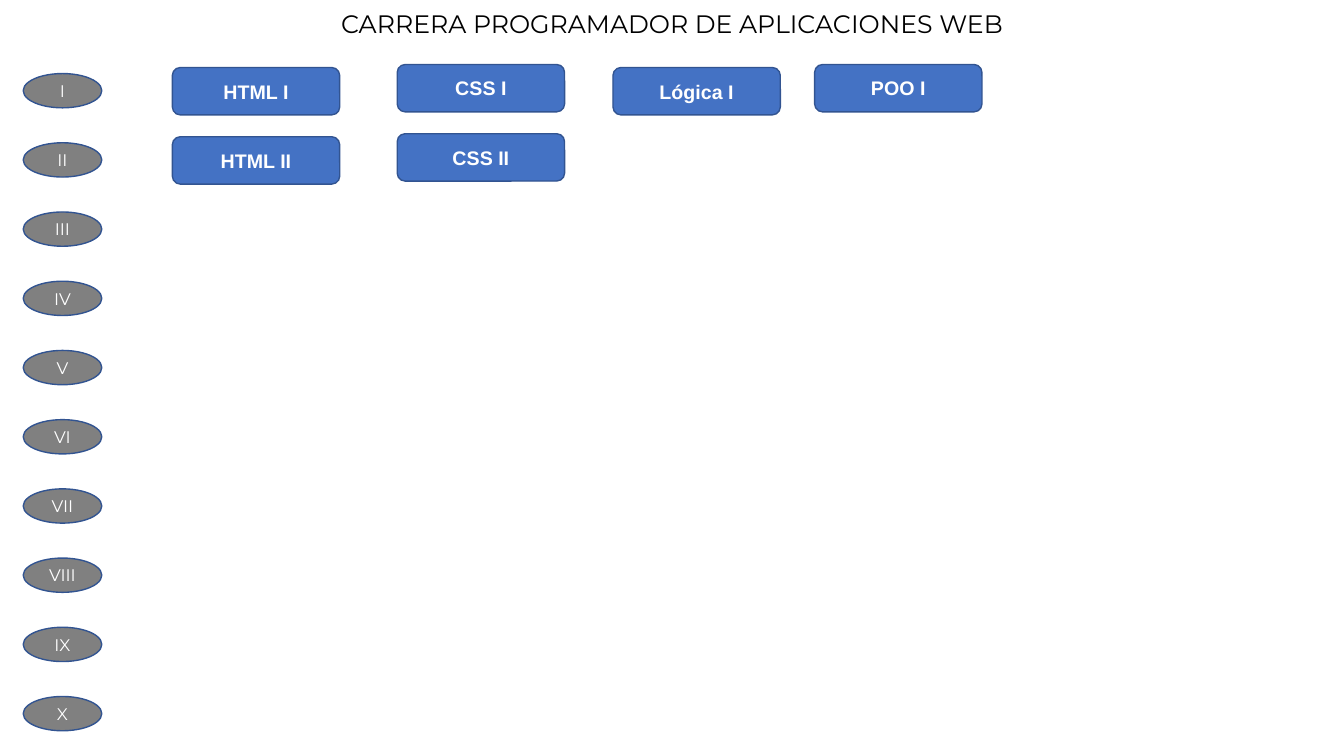
from pptx import Presentation
from pptx.dml.color import RGBColor
from pptx.enum.shapes import MSO_SHAPE
from pptx.enum.text import MSO_ANCHOR, MSO_AUTO_SIZE, PP_ALIGN
from pptx.util import Inches, Pt


def write_text(shape, text, size, color, font="Montserrat", bold=False, anchor=MSO_ANCHOR.MIDDLE):
    frame = shape.text_frame
    frame.word_wrap = True
    frame.vertical_anchor = anchor
    paragraph = frame.paragraphs[0]
    paragraph.alignment = PP_ALIGN.CENTER
    run = paragraph.add_run()
    run.text = text
    run.font.name = font
    run.font.size = Pt(size)
    run.font.bold = bold
    run.font.color.rgb = RGBColor.from_string(color)


def add_box(kind, left, top, width, height, fill):
    shape = slide.shapes.add_shape(kind, Inches(left), Inches(top), Inches(width), Inches(height))
    shape.shadow.inherit = False
    shape.fill.solid()
    shape.fill.fore_color.rgb = RGBColor.from_string(fill)
    shape.line.color.rgb = RGBColor.from_string("325491")
    shape.line.width = Pt(1)
    return shape


presentation = Presentation()
presentation.slide_width = Inches(13.33)
presentation.slide_height = Inches(7.5)
slide = presentation.slides.add_slide(presentation.slide_layouts.get_by_name("Title Only"))

title = slide.shapes.title
title.left, title.top = Inches(0), Inches(0.03)
title.width, title.height = Inches(13.33), Inches(0.4)
write_text(title, "CARRERA PROGRAMADOR DE APLICACIONES WEB", 18, "000000", anchor=MSO_ANCHOR.TOP)
title.text_frame.auto_size = MSO_AUTO_SIZE.SHAPE_TO_FIT_TEXT

levels = ["I", "II", "III", "IV", "V", "VI", "VII", "VIII", "IX", "X"]
first_level_top, last_level_top = 0.73, 6.91
level_step = (last_level_top - first_level_top) / (len(levels) - 1)

for row, level in enumerate(levels):
    ellipse = add_box(MSO_SHAPE.OVAL, 0.23, first_level_top + row * level_step, 0.78, 0.34, "808080")
    write_text(ellipse, level, 12, "FFFFFF")

# Left edge, top of the first course, and courses by level
subjects = [
    (1.71, 0.67, ["HTML I", "HTML II"]),
    (3.94, 0.64, ["CSS I", "CSS II"]),
    (6.08, 0.67, ["Lógica I"]),
    (8.08, 0.64, ["POO I"]),
]
for left, top, courses in subjects:
    for row, course in enumerate(courses):
        box = add_box(MSO_SHAPE.ROUNDED_RECTANGLE, left, top + row * level_step, 1.66, 0.47, "4472C4")
        write_text(box, course, 14, "FFFFFF", font="Arial", bold=True)

presentation.save("out.pptx")
